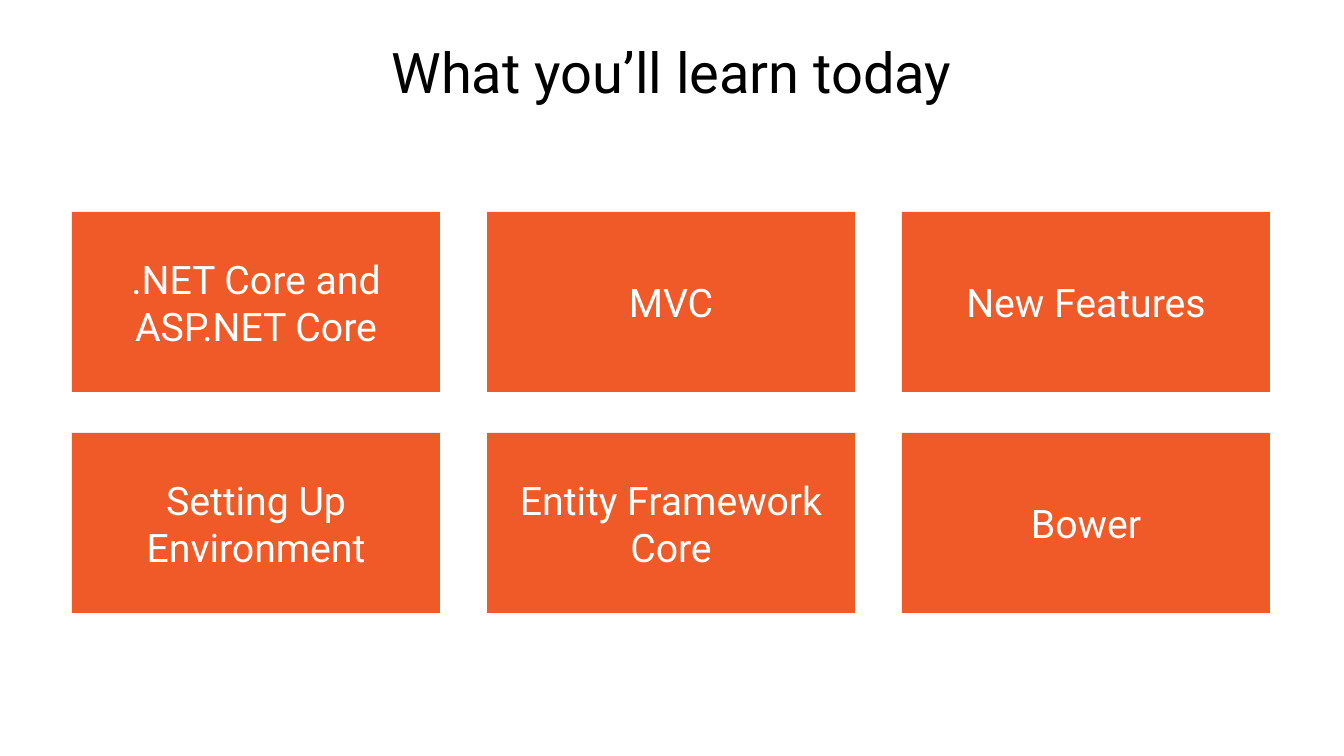
import pptx
import pptx.util
import pptx.dml.color
import pptx.enum.shapes
import pptx.enum.text

PX = 914400 / 100.8
ORANGE = pptx.dml.color.RGBColor(0xF0, 0x5A, 0x28)
WHITE = pptx.dml.color.RGBColor(0xFF, 0xFF, 0xFF)
BLACK = pptx.dml.color.RGBColor(0x00, 0x00, 0x00)


def px(length):
    return pptx.util.Emu(round(length * PX))


def write(frame, text, size, color):
    frame.word_wrap = True
    frame.auto_size = pptx.enum.text.MSO_AUTO_SIZE.NONE
    frame.vertical_anchor = pptx.enum.text.MSO_ANCHOR.MIDDLE
    paragraph = frame.paragraphs[0]
    paragraph.alignment = pptx.enum.text.PP_ALIGN.CENTER
    run = paragraph.add_run()
    run.text = text
    run.font.name = "Roboto"
    run.font.size = pptx.util.Pt(size)
    run.font.color.rgb = color
    return paragraph


deck = pptx.Presentation()
deck.slide_width = px(1344)
deck.slide_height = px(756)
slide = deck.slides.add_slide(deck.slide_layouts[5])

heading = slide.shapes.title
heading.left, heading.top = px(282), px(38)
heading.width, heading.height = px(779), px(74)
heading_line = write(heading.text_frame, "What you’ll learn today", 40, BLACK)
heading_line.line_spacing = 0.9

topics = [
    [".NET Core and ASP.NET Core", "MVC", "New Features"],
    ["Setting Up Environment", "Entity Framework Core", "Bower"],
]
for row, row_topics in enumerate(topics):
    for column, topic in enumerate(row_topics):
        tile = slide.shapes.add_shape(
            pptx.enum.shapes.MSO_SHAPE.RECTANGLE,
            px(72 + 415 * column), px(212 + 221 * row), px(368), px(180))
        tile.shadow.inherit = False
        tile.fill.solid()
        tile.fill.fore_color.rgb = ORANGE
        tile.line.fill.background()
        write(tile.text_frame, topic, 28, WHITE)

deck.save("out.pptx")
